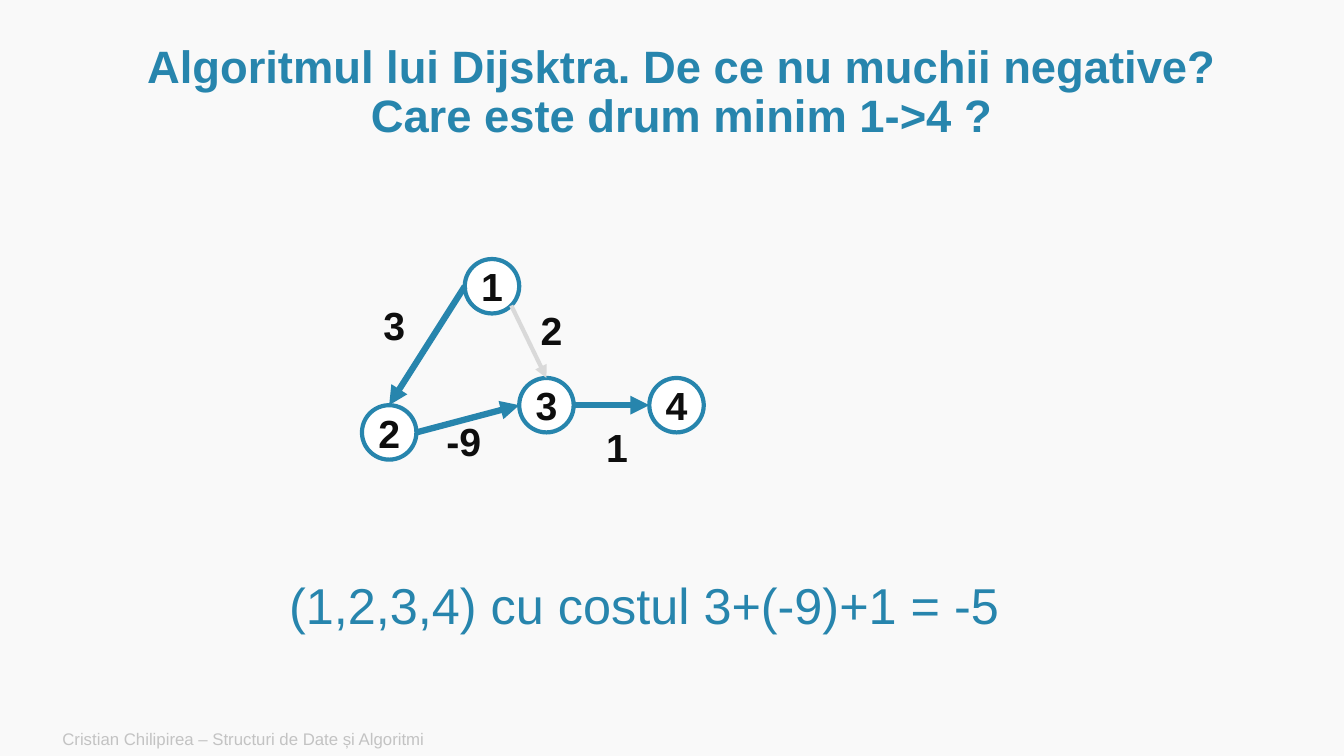
from math import cos, radians, sin

from lxml import etree
from pptx import Presentation
from pptx.dml.color import RGBColor
from pptx.enum.shapes import MSO_CONNECTOR, MSO_SHAPE
from pptx.enum.text import MSO_ANCHOR, PP_ALIGN
from pptx.oxml.ns import qn
from pptx.util import Pt

PX = 9144
LEFT, CENTER = PP_ALIGN.LEFT, PP_ALIGN.CENTER
TOP, MIDDLE = MSO_ANCHOR.TOP, MSO_ANCHOR.MIDDLE
OVAL, STRAIGHT = MSO_SHAPE.OVAL, MSO_CONNECTOR.STRAIGHT
BLUE, INK, GRAY, PALE = "2785AD", "0E0E0E", "D9D9D9", "C3C3C3"
SIDE = 54
NODES = {"1": (105, 0), "2": (3, 145), "3": (159, 118), "4": (288, 118)}
EDGES = [
    ("1", 180, "2", 270, BLUE, 4.5),
    ("2", 0, "3", 180, BLUE, 4.5),
    ("1", 45, "3", 270, GRAY, 3),
    ("3", 0, "4", 180, BLUE, 4.5),
]
COSTS = [("3", 0, 37), ("-9", 69, 152), ("2", 156, 42), ("1", 221, 158)]


def color(code):
    """Turn a hex string into a colour."""
    return RGBColor.from_string(code)


def px(*sizes):
    """Turn pixel lengths into EMU."""
    return [round(size * PX) for size in sizes]


def write(frame, text, size=28, fill=INK, bold=True, align=CENTER,
          anchor=TOP, space=1.0, wrap=True):
    """Put formatted text in a frame."""
    frame.word_wrap = wrap
    frame.vertical_anchor = anchor
    para = frame.paragraphs[0]
    para.alignment = align
    para.line_spacing = space
    for row, line in enumerate(text.split("\n")):
        if row:
            para.add_line_break()
        run = para.add_run()
        run.text = line
        font = run.font
        font.name, font.size, font.bold = "Arial", Pt(size), bold
        font.color.rgb = color(fill)


def label(slide, box, text, **form):
    """Add a text box in the given box."""
    write(slide.shapes.add_textbox(*px(*box)).text_frame, text, **form)


def node(slide, box, name):
    """Draw one numbered graph node."""
    disc = slide.shapes.add_shape(OVAL, *px(*box))
    disc.shadow.inherit = False
    disc.fill.solid()
    disc.fill.fore_color.rgb = color("FFFFFF")
    disc.line.color.rgb = color(BLUE)
    disc.line.width = Pt(3)
    write(disc.text_frame, name, anchor=MIDDLE, wrap=False)


def rim(box, name, angle):
    """Find the point on a node's rim at a clockwise angle."""
    half = SIDE / 2
    x, y = NODES[name]
    turn = radians(angle)
    return (box[0] + x + half + half * cos(turn),
            box[1] + y + half + half * sin(turn))


def arrow(slide, start, end, fill, width):
    """Draw an arrow between two points."""
    link = slide.shapes.add_connector(STRAIGHT, *px(*start, *end))
    link.line.color.rgb = color(fill)
    link.line.width = Pt(width)
    tip = etree.SubElement(link.line._get_or_add_ln(), qn("a:tailEnd"))
    tip.set("type", "triangle")
    etree.SubElement(link._element.spPr, qn("a:effectLst"))


def graph(slide, box):
    """Draw nodes, arrows and costs inside the box."""
    left, top = box[:2]
    for name, (x, y) in NODES.items():
        node(slide, (left + x, top + y, SIDE, SIDE), name)
    for start, out, end, into, fill, width in EDGES:
        arrow(slide, rim(box, start, out), rim(box, end, into), fill, width)
    for cost, x, y in COSTS:
        label(slide, (left + x, top + y, 70, 57), cost)


def main():
    """Build and save the slide."""
    deck = Presentation()
    deck.slide_width, deck.slide_height = px(1333, 750)
    slide = deck.slides.add_slide(deck.slide_layouts[6])
    back = slide.background.fill
    back.solid()
    back.fore_color.rgb = color("F9F9F9")
    label(slide, (101, 51, 1150, 83),
          "Algoritmul lui Dijsktra. De ce nu muchii negative?\n"
          "Care este drum minim 1->4 ?",
          size=32.4, fill=BLUE, anchor=MIDDLE, space=0.9)
    graph(slide, (356, 257, 342, 215))
    label(slide, (277, 565, 731, 71), "(1,2,3,4) cu costul 3+(-9)+1 = -5",
          size=36, fill=BLUE, bold=False, align=LEFT)
    label(slide, (52, 716, 840, 34),
          "Cristian Chilipirea – Structuri de Date și Algoritmi",
          size=12, fill=PALE, bold=False, align=LEFT, anchor=MIDDLE)
    deck.save("out.pptx")


if __name__ == "__main__":
    main()
